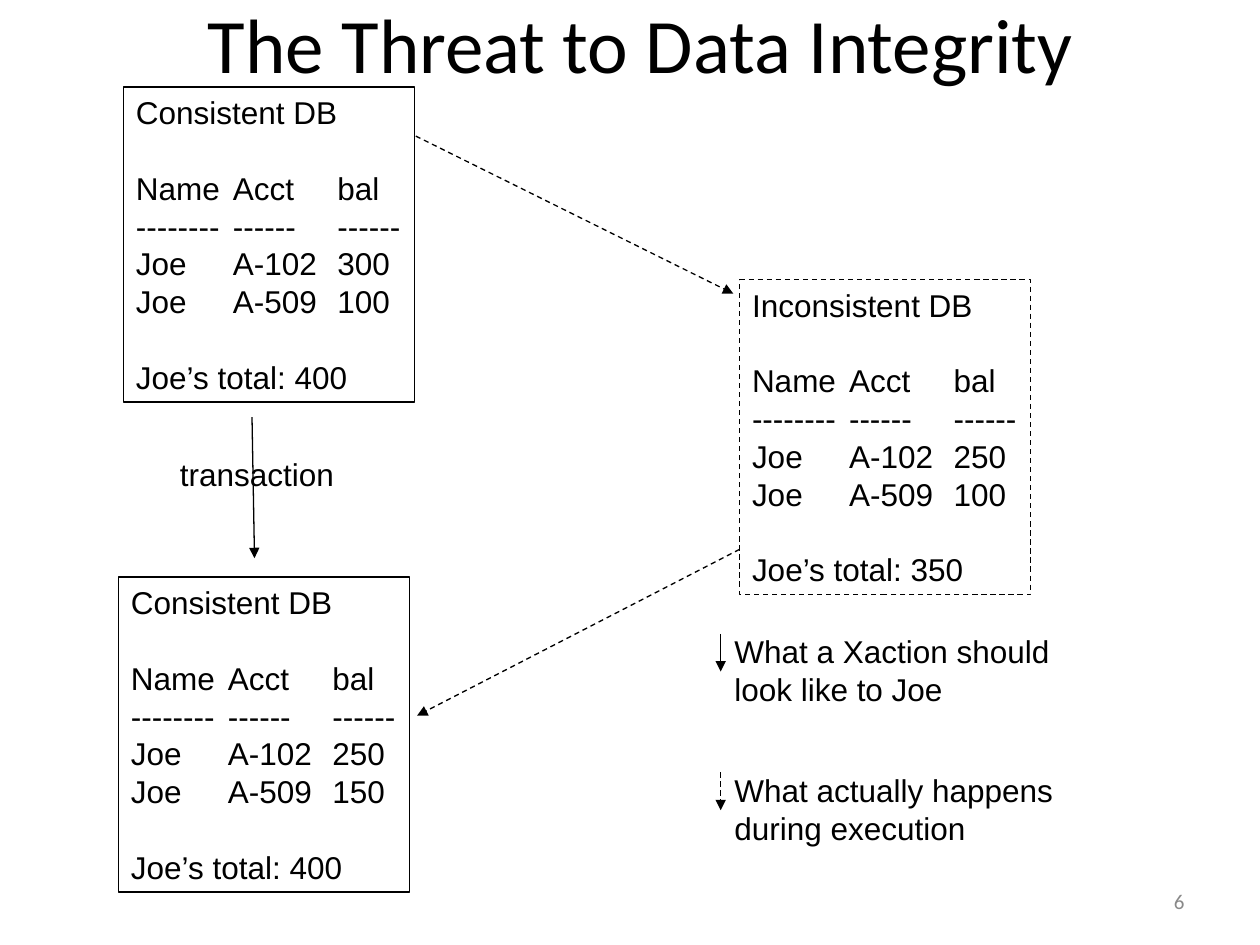
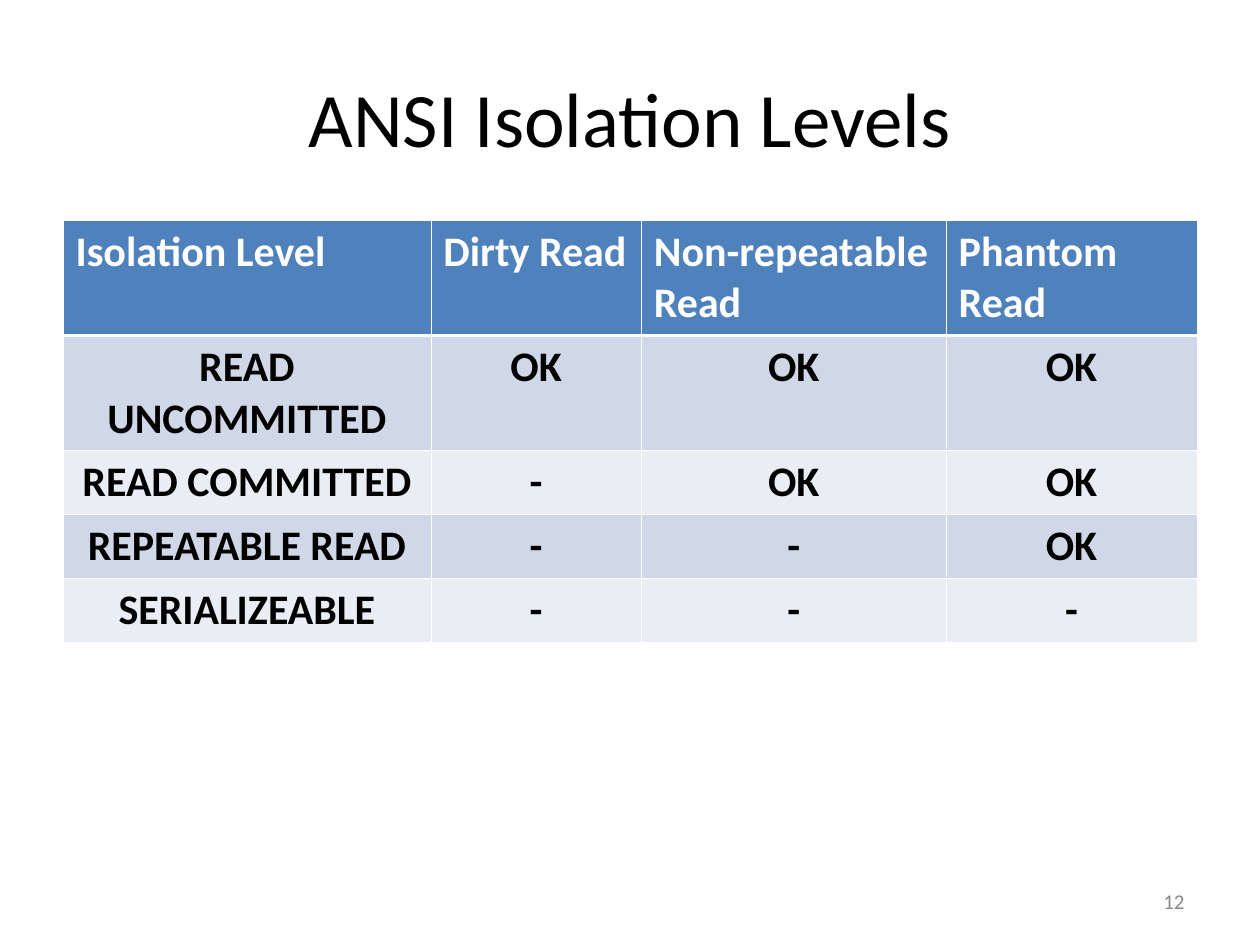
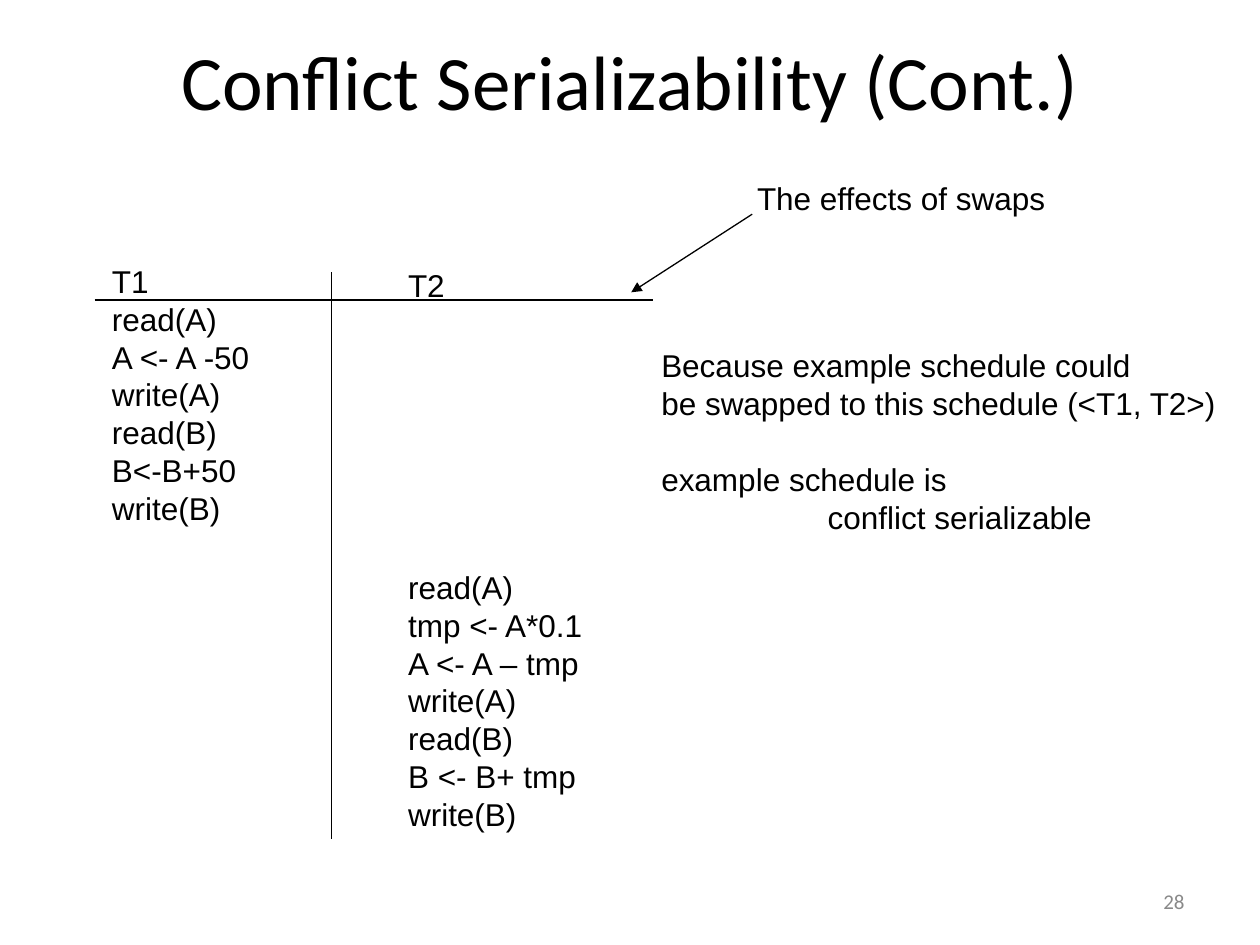
from lxml import etree
from pptx import Presentation
from pptx.dml.color import RGBColor
from pptx.enum.dml import MSO_LINE
from pptx.enum.shapes import MSO_CONNECTOR, MSO_SHAPE
from pptx.enum.text import MSO_ANCHOR, MSO_AUTO_SIZE, PP_ALIGN
from pptx.oxml.ns import qn
from pptx.util import Inches, Pt

DASH, RECT, LINE = MSO_LINE.DASH, MSO_SHAPE.RECTANGLE, MSO_CONNECTOR.STRAIGHT
LEFT, MID, RIGHT = PP_ALIGN.LEFT, PP_ALIGN.CENTER, PP_ALIGN.RIGHT
TOP, CENTER, FIXED = MSO_ANCHOR.TOP, MSO_ANCHOR.MIDDLE, MSO_AUTO_SIZE.NONE

BLACK = RGBColor(0, 0, 0)
WHITE = RGBColor(0xFF, 0xFF, 0xFF)
GREY = RGBColor(0x89, 0x89, 0x89)
BLUE = RGBColor(0x4F, 0x81, 0xBD)
BANDS = RGBColor(0xD0, 0xD8, 0xE8), RGBColor(0xE9, 0xED, 0xF4)

HEAD = {"name": "Calibri", "size": Pt(44), "color": BLACK}
BODY = {"name": "Arial", "size": Pt(18), "color": BLACK}
FOOT = {"name": "Calibri", "size": Pt(12), "color": GREY}
CELL = {"name": "Calibri", "size": Pt(24), "color": BLACK, "bold": True}
ROW = 21.6     # body line height, points
THIN = 0.74    # line width, points

# ---- Content ----
TITLES = [  # text, slide number, title box
    ("The Threat to Data Integrity", 6, (0.67, 0, 8.83, 0.67)),
    ("ANSI Isolation Levels", 12, (0.5, 0.3, 9, 1.25)),
    ("Conflict Serializability (Cont.)", 28, (0.5, 0.1, 9, 1.07)),
]
STATES = [  # heading, balances, left, top, dash
    ("Consistent DB", (300, 100), 0.98, 0.69, None),
    ("Consistent DB", (250, 150), 0.94, 4.58, None),
    ("Inconsistent DB", (250, 100), 5.87, 2.22, DASH),
]
ACCTS = "A-102", "A-509"
STEPS = [  # from, to, dash
    ((2, 3.31), (2.02, 4.43), None),
    ((3.3, 1.08), (5.82, 2.33), DASH),
    ((5.87, 4.36), (3.31, 5.68), DASH),
]
KEY = [
    (["What a Xaction should", "look like to Joe"], None),
    (["What actually happens", "during execution"], DASH),
]
LEVELS = [
    ("Isolation Level", "Dirty Read", "Non-repeatable Read", "Phantom Read"),
    ("READ UNCOMMITTED", "OK", "OK", "OK"),
    ("READ COMMITTED", "-", "OK", "OK"),
    ("REPEATABLE READ", "-", "-", "OK"),
    ("SERIALIZEABLE", "-", "-", "-"),
]
COLS, ROWS = (2.92, 1.67, 2.42, 1.99), (0.9, 0.9, 0.5, 0.5, 0.5)
T1 = [["T1", "read(A)", "A <- A -50", "write(A)", "read(B)", "B<-B+50",
       "write(B)"]]
T2 = [["T2"], ["read(A)", "tmp <- A*0.1", "A <- A – tmp", "write(A)",
               "read(B)", "B <- B+ tmp", "write(B)"]]
WHY = [["Because example schedule could",
        "be swapped to this schedule (<T1, T2>)"],
       ["example schedule is", "\tconflict serializable"]]


# ---- Helpers ----
def style(para, fmt, align=LEFT):
    para.alignment = align
    for run in para.runs:
        for key, val in fmt.items():
            if key == "color":
                run.font.color.rgb = val
            else:
                setattr(run.font, key, val)


def write(shape, blocks, gap=1, tabs=()):
    """Fill a shape with blocks of lines set apart by a gap in lines."""
    frame = shape.text_frame
    frame.word_wrap, frame.auto_size = True, FIXED
    frame.vertical_anchor, frame.margin_right = TOP, 0
    frame.text = "\n".join(line for block in blocks for line in block)
    starts = {sum(map(len, blocks[:i])) for i in range(1, len(blocks))}
    for i, para in enumerate(frame.paragraphs):
        style(para, BODY)
        para.line_spacing = Pt(ROW)
        para.space_before = Pt(ROW * gap if i in starts else 0)
        if "\t" in para.text:
            stops = etree.SubElement(para._p.get_or_add_pPr(), qn("a:tabLst"))
            for pos in tabs:
                etree.SubElement(stops, qn("a:tab"), pos=str(Inches(pos)),
                                 algn="l")


def label(slide, box, blocks, **opts):
    write(slide.shapes.add_textbox(*map(Inches, box)), blocks, **opts)


def ink(line, dash=None):
    line.color.rgb, line.width = BLACK, Pt(THIN)
    if dash:
        line.dash_style = dash


def rule(slide, start, end, dash=None, arrow=True):
    wire = slide.shapes.add_connector(LINE, *map(Inches, start + end))
    ink(wire.line, dash)
    if arrow:
        etree.SubElement(wire.line._get_or_add_ln(), qn("a:tailEnd"),
                         type="triangle")
    etree.SubElement(wire._element.spPr, qn("a:effectLst"))


def border(cell, sides):
    props = cell._tc.get_or_add_tcPr()
    for i, (side, width) in enumerate(sides.items()):
        edge = etree.Element(qn("a:ln" + side), w=str(Pt(width)))
        fill = etree.SubElement(edge, qn("a:solidFill"))
        etree.SubElement(fill, qn("a:srgbClr"), val=str(WHITE))
        props.insert(i, edge)


def page(text, num, box):
    """Add a slide with the shared title and number."""
    slide = deck.slides.add_slide(deck.slide_layouts[5])
    title = slide.shapes.title
    title.left, title.top, title.width, title.height = map(Inches, box)
    foot = slide.shapes.add_textbox(*map(Inches, (7.17, 6.95, 2.33, 0.4)))
    for shape, words, fmt, align in ((title, text, HEAD, MID),
                                     (foot, str(num), FOOT, RIGHT)):
        frame = shape.text_frame
        frame.text, frame.word_wrap = words, True
        frame.auto_size, frame.vertical_anchor = FIXED, CENTER
        style(frame.paragraphs[0], fmt, align)
    return slide


deck = Presentation()
deck.slide_width, deck.slide_height = Inches(10), Inches(7.5)
threat, ansi, swap = [page(*item) for item in TITLES]

# ---- Data integrity: states, steps and key ----
for head, sums, left, top, dash in STATES:
    box = threat.shapes.add_shape(RECT, *map(Inches, (left, top, 2.31, 2.5)))
    box.shadow.inherit = False
    box.fill.background()
    ink(box.line, dash)
    grid = ["Name\tAcct\tbal", "--------\t------\t------"]
    grid += [f"Joe\t{acct}\t{val}" for acct, val in zip(ACCTS, sums)]
    write(box, [[head], grid, [f"Joe’s total: {sum(sums)}"]],
          tabs=(0.77, 1.6))
for start, end, dash in STEPS:
    rule(threat, start, end, dash)
label(threat, (1.33, 3.56, 1.42, 0.4), [["transaction"]])
for i, (lines, dash) in enumerate(KEY):
    top = 4.97 + 1.1 * i
    label(threat, (5.73, top, 2.77, 0.7), [lines])
    rule(threat, (5.72, top + 0.06), (5.72, top + 0.36), dash)

# ---- Isolation levels: table ----
area = map(Inches, (0.5, 1.75, sum(COLS), sum(ROWS)))
table = ansi.shapes.add_table(len(ROWS), len(COLS), *area).table
for col, width in zip(table.columns, COLS):
    col.width = Inches(width)
for r, (row, high) in enumerate(zip(LEVELS, ROWS)):
    table.rows[r].height = Inches(high)
    for c, text in enumerate(row):
        cell = table.cell(r, c)
        cell.text = text
        cell.fill.solid()
        cell.fill.fore_color.rgb = BANDS[(r - 1) % 2] if r else BLUE
        style(cell.text_frame.paragraphs[0],
              CELL if r else CELL | {"color": WHITE}, MID if r else LEFT)
        border(cell, {"L": 0.45, "R": 0.45, "T": 1.47 if r == 1 else 0.45,
                      "B": 0.45 if r else 1.47})

# ---- Conflict serializability: schedule and remarks ----
label(swap, (0.79, 2.03, 1.33, 2.2), T1)
label(swap, (3.14, 2.06, 1.59, 4.6), T2, gap=7)
rule(swap, (0.75, 2.38), (5.18, 2.38), arrow=False)
rule(swap, (2.63, 2.16), (2.63, 6.66), arrow=False)
label(swap, (5.91, 1.37, 2.49, 0.4), [["The effects of swaps"]])
rule(swap, (5.97, 1.7), (5.01, 2.32))
label(swap, (5.15, 2.7, 4.67, 1.6), WHY, tabs=(1.32,))

deck.save("out.pptx")
